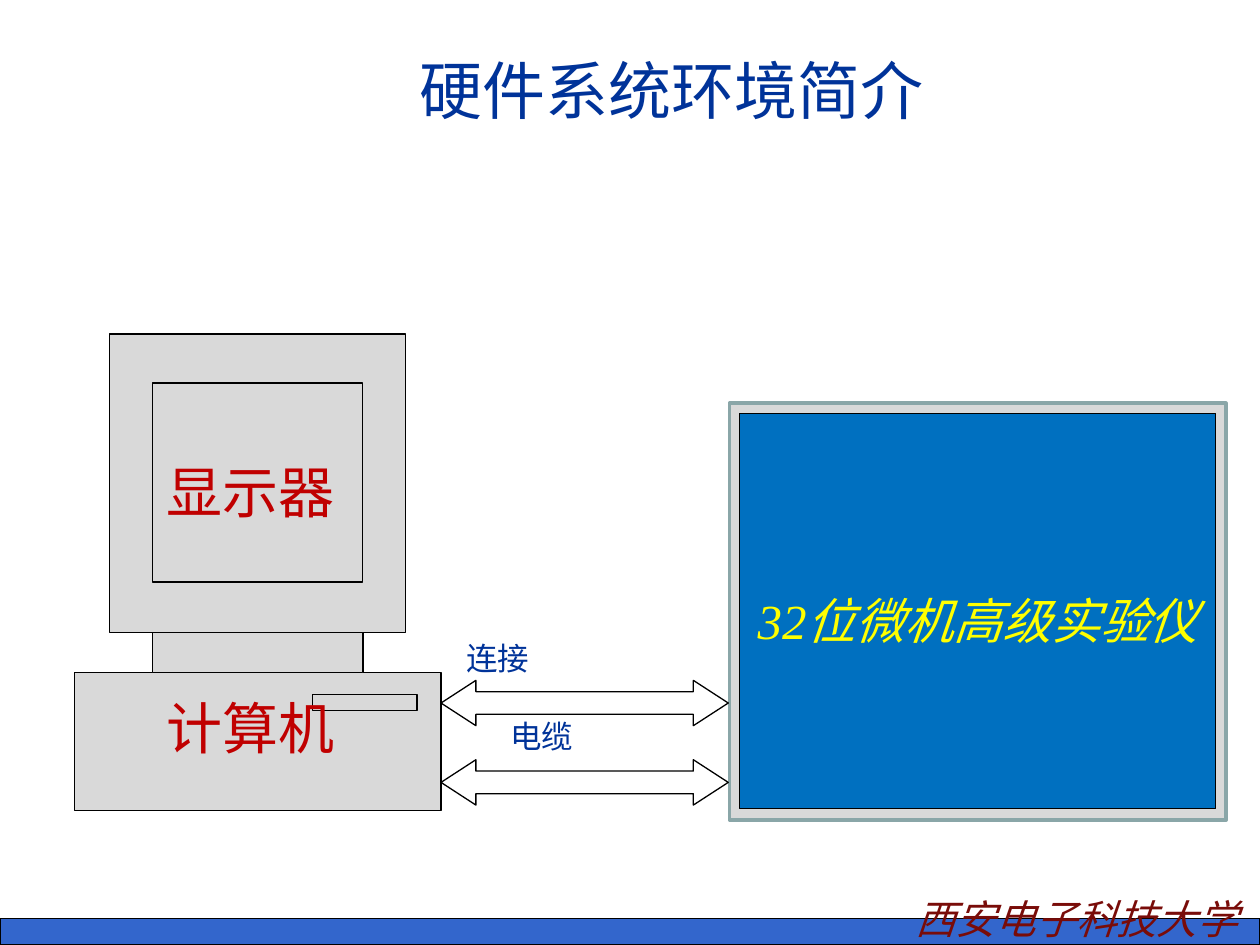
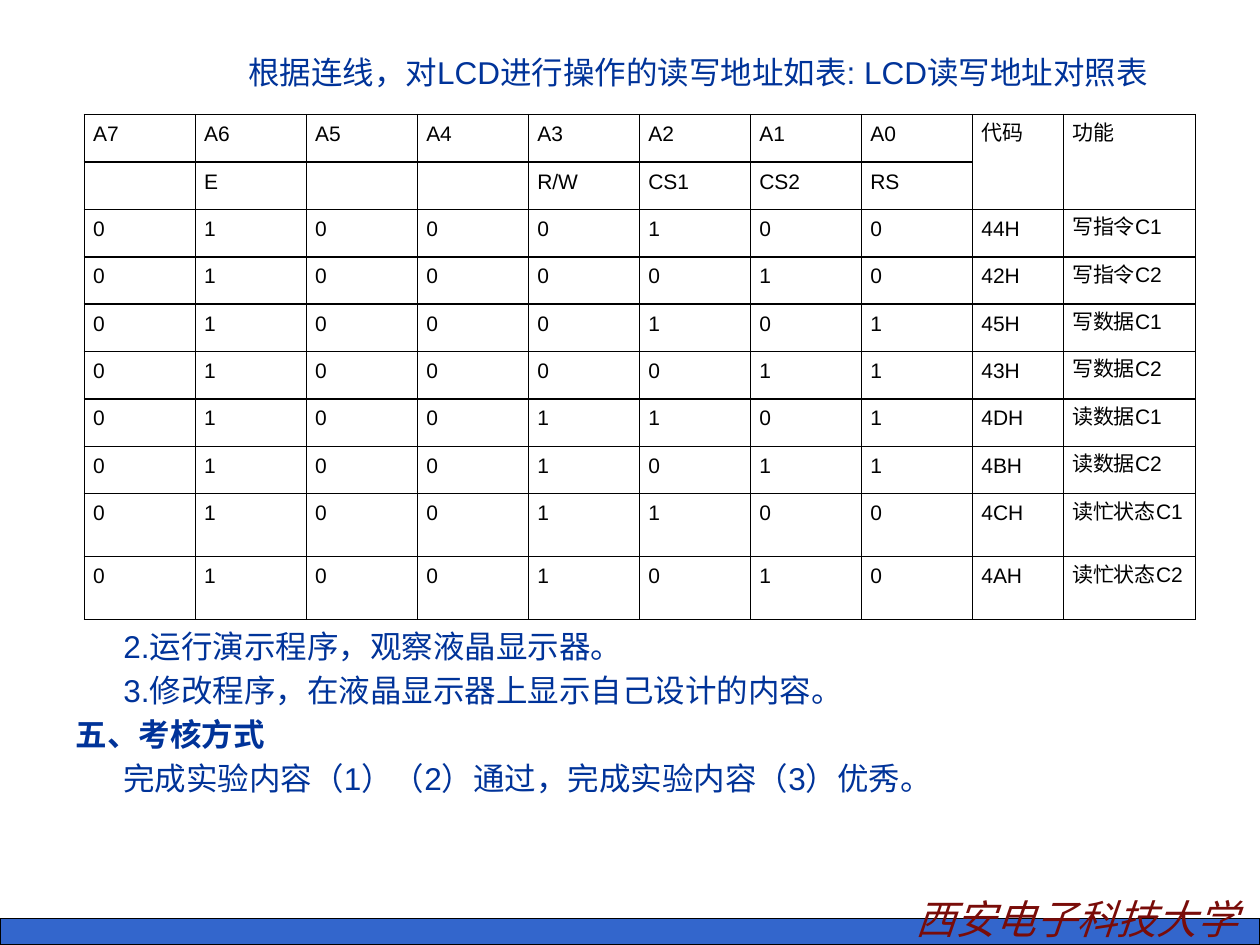
from dataclasses import dataclass

import pptx
import pptx.dml.color
import pptx.enum.shapes
import pptx.enum.text
import pptx.oxml
import pptx.oxml.ns
import pptx.util
from pptx.util import Inches

MSO = pptx.enum.shapes.MSO_SHAPE
ALIGN = pptx.enum.text.PP_ALIGN
ANCHOR = pptx.enum.text.MSO_ANCHOR


@dataclass(frozen=True)
class Theme:
    navy: str = "003399"
    red: str = "C00000"
    maroon: str = "790C09"
    band: str = "3366CC"
    panel: str = "0070C0"
    yellow: str = "FFFF00"
    grey: str = "D9D9D9"
    edge: str = "8AA6A8"
    black: str = "000000"
    white: str = "FFFFFF"
    sans: str = "Arial"
    serif: str = "Times New Roman"
    cjk: str = "Noto Sans CJK SC"
    title: float = 36
    label: float = 32
    device: float = 28
    footer: float = 23
    body: float = 18
    cell: float = 12


THEME = Theme()


@dataclass(frozen=True)
class Box:
    left: float
    top: float
    width: float
    height: float

    def emu(self) -> tuple:
        return tuple(Inches(v) for v in (self.left, self.top, self.width, self.height))


@dataclass(frozen=True)
class Style:
    size: float
    color: str = THEME.navy
    face: str = THEME.sans
    align: ALIGN = ALIGN.LEFT
    italic: bool = False
    bold: bool = False


@dataclass(frozen=True)
class Label:
    text: str
    box: Box
    style: Style


@dataclass(frozen=True)
class Block:
    box: Box
    fill: str = THEME.grey
    line: str = THEME.black
    weight: float = 0.75
    kind: MSO = MSO.RECTANGLE


@dataclass(frozen=True)
class Line:
    text: str
    indent: float = 0.38
    bold: bool = False


BAND = Block(Box(0, 7.29, 10, 0.21), THEME.band)
SCHOOL = Label("西安电子科技大学", Box(6.97, 7.05, 3.15, 0.48),
               Style(THEME.footer, THEME.maroon, THEME.cjk, ALIGN.CENTER, italic=True))

TITLE = Label("硬件系统环境简介", Box(1.33, 0.17, 8, 1.08),
              Style(THEME.title, align=ALIGN.CENTER))
PART = Style(THEME.label, THEME.red)
NOTE = Style(THEME.body)
LABELS = (
    Label("显示器", Box(1.32, 3.6, 1.5, 0.6), PART),
    Label("计算机", Box(1.32, 5.47, 1.5, 0.6), PART),
    Label("连接", Box(3.7, 5.02, 0.7, 0.4), NOTE),
    Label("电缆", Box(4.05, 5.64, 0.7, 0.4), NOTE),
)
FRAME = Block(Box(5.79, 3.2, 3.94, 3.31), line=THEME.edge, weight=2)
PANEL = Block(Box(5.87, 3.28, 3.78, 3.14), THEME.panel)
DEVICE = Style(THEME.device, THEME.yellow, THEME.serif, ALIGN.CENTER, italic=True)
COMPUTER = ((0.87, 2.65), (3.22, 2.65), (3.22, 5.02), (2.88, 5.02), (2.88, 5.34),
            (3.5, 5.34), (3.5, 6.43), (0.59, 6.43), (0.59, 5.34), (1.21, 5.34),
            (1.21, 5.02), (0.87, 5.02))
DETAILS = (
    Block(Box(1.21, 3.04, 1.67, 1.58)),
    Block(Box(1.21, 5.02, 1.67, 0.32)),
    Block(Box(2.48, 5.51, 0.83, 0.13)),
)
CABLES = tuple(Block(Box(3.5, top, 2.28, 0.36), THEME.white, kind=MSO.LEFT_RIGHT_ARROW)
               for top in (5.4, 6.03))

INTRO = Label("根据连线，对LCD进行操作的读写地址如表: LCD读写地址对照表",
              Box(1.97, 0.37, 7.6, 0.4), NOTE)
STEPS = (
    Line("2.运行演示程序，观察液晶显示器。"),
    Line("3.修改程序，在液晶显示器上显示自己设计的内容。"),
    Line("五、考核方式", 0, True),
    Line("完成实验内容（1）（2）通过，完成实验内容（3）优秀。"),
)
HEAD = (
    ("A7", "A6", "A5", "A4", "A3", "A2", "A1", "A0", "代码", "功能"),
    ("", "E", "", "", "R/W", "CS1", "CS2", "RS", "", ""),
)
CODES = (
    (0x44, "写指令C1"), (0x42, "写指令C2"), (0x45, "写数据C1"), (0x43, "写数据C2"),
    (0x4D, "读数据C1"), (0x4B, "读数据C2"), (0x4C, "读忙状态C1"), (0x4A, "读忙状态C2"),
)
GRID = Box(0.67, 0.91, 8.82, 4.01)
COLS = [7.05 / 8] * 8 + [0.72, 1.05]
ROWS = [3.01 / 8] * 8 + [0.5] * 2


def rgb(code: str) -> pptx.dml.color.RGBColor:
    return pptx.dml.color.RGBColor.from_string(code)


def write(para, text: str, style: Style) -> None:
    para.text = text
    para.alignment = style.align
    font = para.font
    font.size = pptx.util.Pt(style.size)
    font.name = style.face
    font.color.rgb = rgb(style.color)
    font.italic = style.italic
    font.bold = style.bold


def paint(shape, block: Block) -> None:
    shape.shadow.inherit = False
    shape.fill.solid()
    shape.fill.fore_color.rgb = rgb(block.fill)
    shape.line.color.rgb = rgb(block.line)
    shape.line.width = pptx.util.Pt(block.weight)


def add_block(slide, block: Block):
    shape = slide.shapes.add_shape(block.kind, *block.box.emu())
    paint(shape, block)
    return shape


def add_frame(slide, box: Box):
    """Add an empty text box without insets, centred vertically."""
    frame = slide.shapes.add_textbox(*box.emu()).text_frame
    frame.word_wrap = True
    frame.vertical_anchor = ANCHOR.MIDDLE
    frame.margin_left = frame.margin_right = frame.margin_top = frame.margin_bottom = 0
    return frame


def add_label(slide, label: Label) -> None:
    write(add_frame(slide, label.box).paragraphs[0], label.text, label.style)


def add_slide(deck):
    """Add a blank slide with the shared footer."""
    slide = deck.slides.add_slide(deck.slide_layouts[6])
    add_block(slide, BAND)
    add_label(slide, SCHOOL)
    return slide


def draw_setup(deck) -> None:
    slide = add_slide(deck)
    add_block(slide, FRAME)
    points = [(Inches(x), Inches(y)) for x, y in COMPUTER]
    pen = slide.shapes.build_freeform(*points[0])
    pen.add_line_segments(points[1:], close=True)
    paint(pen.convert_to_shape(), DETAILS[0])
    for block in DETAILS:
        add_block(slide, block)
    for label in (TITLE, *LABELS):
        add_label(slide, label)
    frame = add_block(slide, PANEL).text_frame
    frame.vertical_anchor = ANCHOR.TOP
    frame.margin_top = Inches(1.41)
    write(frame.paragraphs[0], "32位微机高级实验仪", DEVICE)
    for cable in CABLES:
        arrow = add_block(slide, cable)
        arrow.adjustments[0] = 0.5
        arrow.adjustments[1] = 0.77


def rule(cell) -> None:
    """Give a cell thin black borders and no fill."""
    props = cell._tc.get_or_add_tcPr()
    for side in ("lnL", "lnR", "lnT", "lnB"):
        props.append(pptx.oxml.parse_xml(
            f'<a:{side} {pptx.oxml.ns.nsdecls("a")} w="12700"><a:solidFill>'
            f'<a:srgbClr val="{THEME.black}"/></a:solidFill></a:{side}>'))
    cell.fill.background()


def add_grid(slide) -> None:
    codes = [(*f"{code:08b}", f"{code:X}H", use) for code, use in CODES]
    data = [*HEAD, *codes]
    table = slide.shapes.add_table(len(ROWS), len(COLS), *GRID.emu()).table
    table.first_row = table.horz_banding = False
    for col, width in zip(table.columns, COLS):
        col.width = Inches(width)
    style = Style(THEME.cell, THEME.black, align=ALIGN.JUSTIFY)
    for r, row in enumerate(data):
        table.rows[r].height = Inches(ROWS[r])
        for c, text in enumerate(row):
            cell = table.cell(r, c)
            cell.margin_left = cell.margin_right = Inches(0.07)
            cell.margin_top = cell.margin_bottom = 0
            para = cell.text_frame.paragraphs[0]
            write(para, text, style)
            para.line_spacing = pptx.util.Pt(18)
            rule(cell)
    for c in (8, 9):
        table.cell(0, c).merge(table.cell(1, c))


def draw_codes(deck) -> None:
    slide = add_slide(deck)
    add_label(slide, INTRO)
    add_grid(slide)
    frame = add_frame(slide, Box(0.6, 4.95, 8.8, 1.4))
    for i, line in enumerate(STEPS):
        para = frame.add_paragraph() if i else frame.paragraphs[0]
        write(para, line.text, Style(THEME.body, bold=line.bold))
        para.space_before = pptx.util.Pt(3.6)
        para._p.get_or_add_pPr().set("marL", str(Inches(line.indent)))


def main() -> None:
    deck = pptx.Presentation()
    deck.slide_width, deck.slide_height = Inches(10), Inches(7.5)
    draw_setup(deck)
    draw_codes(deck)
    deck.save("out.pptx")


if __name__ == "__main__":
    main()
